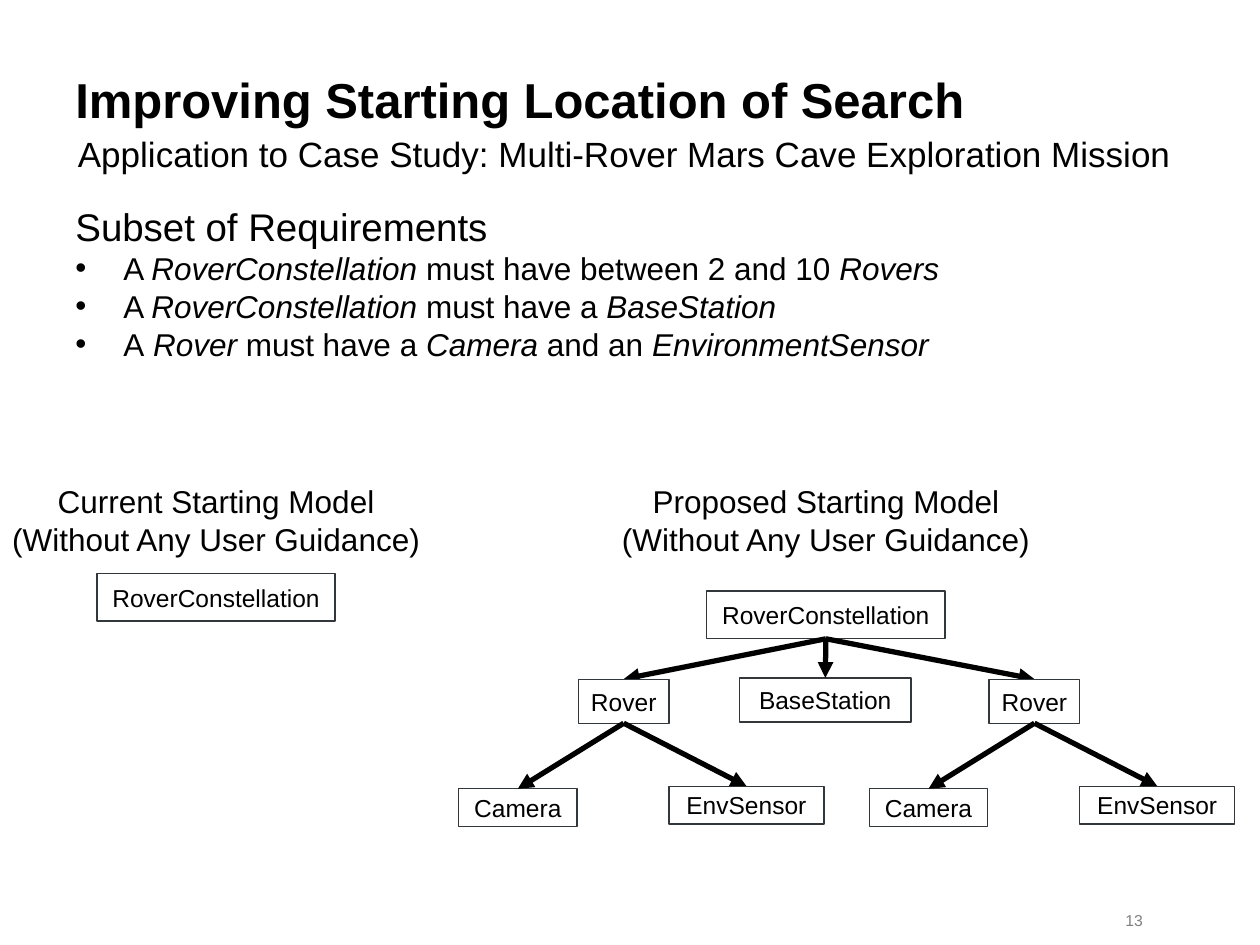
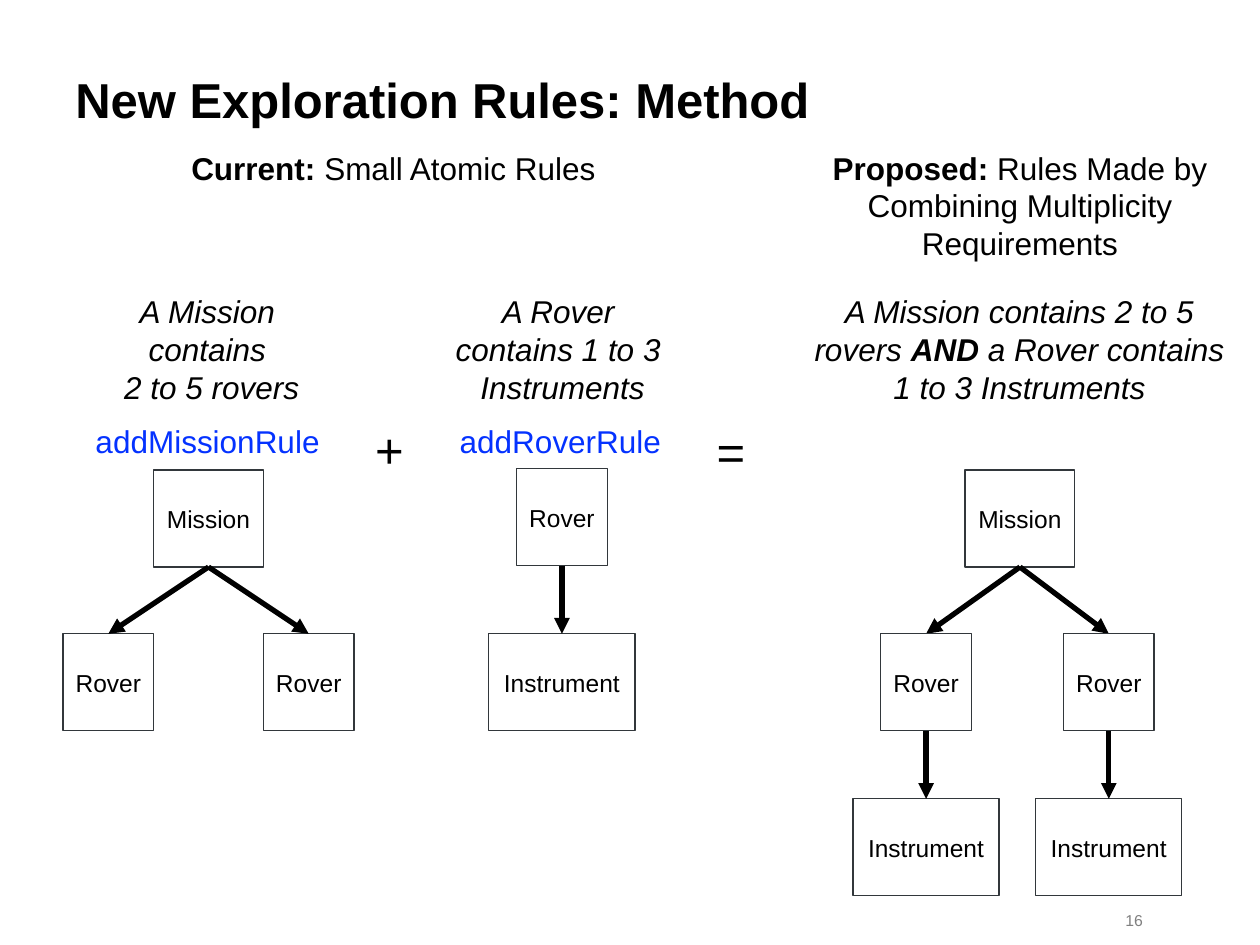
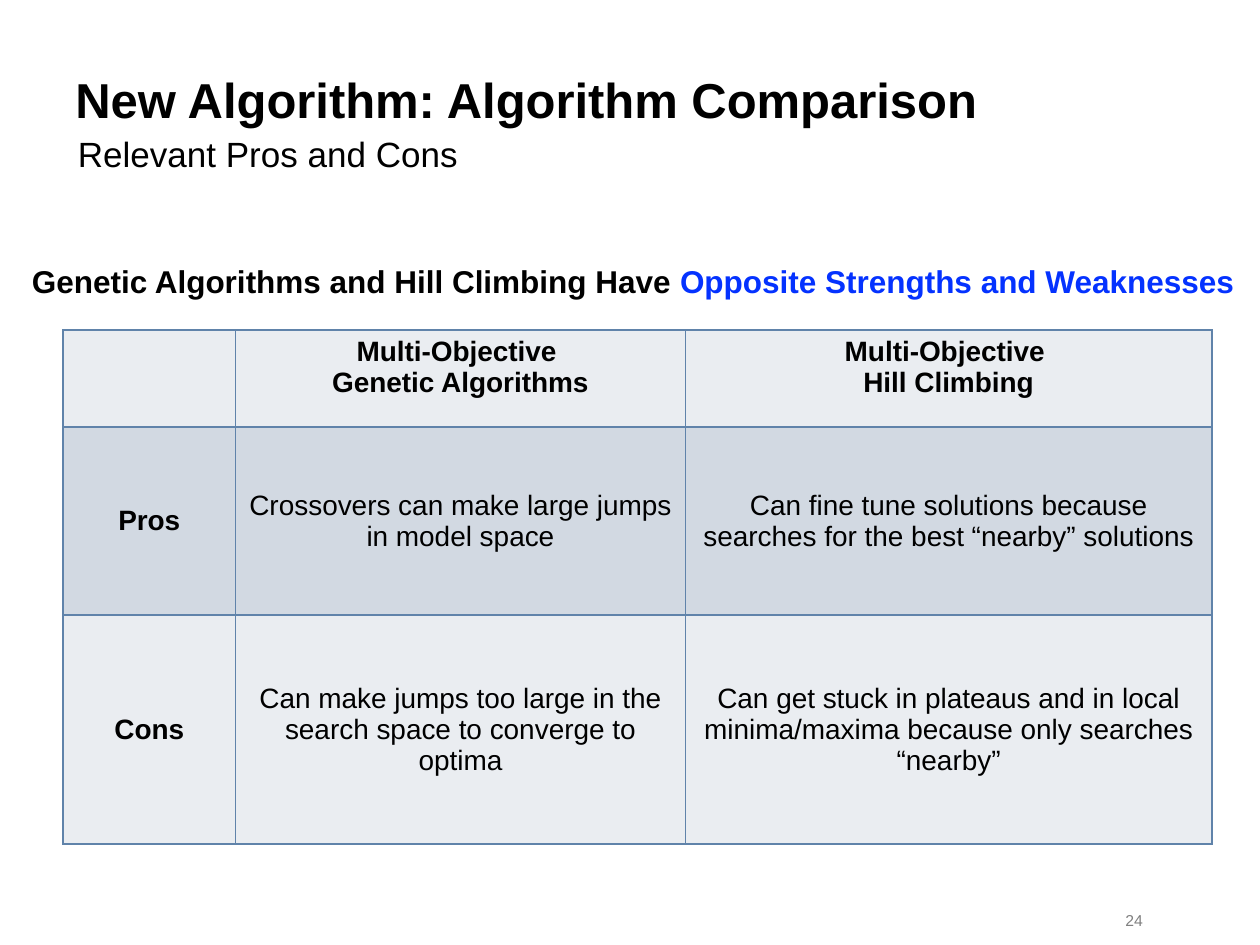
from dataclasses import dataclass

from lxml.etree import SubElement
from pptx import Presentation
from pptx.dml.color import RGBColor
from pptx.enum.shapes import MSO_CONNECTOR, MSO_SHAPE
from pptx.enum.text import MSO_ANCHOR, MSO_AUTO_SIZE, PP_ALIGN
from pptx.oxml.ns import qn
from pptx.util import Pt

PX = 9144  # EMU in one px: 100 px to the inch


@dataclass(frozen=True)
class Theme:
    font: str = "Arial"
    ink: str = "000000"
    paper: str = "FFFFFF"
    accent: str = "0432FF"
    muted: str = "808080"
    outline: str = "32373B"
    grid: str = "6083AA"
    row_light: str = "EAEDF1"
    row_dark: str = "D2D9E2"
    title: int = 28
    heading: int = 22
    subtitle: int = 20
    body: int = 18
    table: int = 16
    node: int = 14
    footer: int = 9


THEME = Theme()


@dataclass(frozen=True)
class Node:
    """A box in a tree; dx and dy are measured from its parent's corner."""
    text: str
    width: int
    height: int
    dx: int = 0
    dy: int = 0
    children: tuple = ()
    tucked: bool = False  # the incoming arrow lies behind the box


# ---- Text ----
def add_bullet(paragraph, indent):
    properties = paragraph._p.get_or_add_pPr()
    properties.set("marL", str(indent * PX))
    properties.set("indent", str(-indent * PX))
    SubElement(properties, qn("a:buFont"), typeface=THEME.font)
    SubElement(properties, qn("a:buChar"), char="•")


def write_paragraph(paragraph, runs, size=THEME.body, color=THEME.ink, bold=False,
                    italic=False, align=PP_ALIGN.LEFT, bullet=0):
    """Runs are one string, or a list of strings and (string, format) pairs."""
    paragraph.alignment = align
    if bullet:
        add_bullet(paragraph, bullet)
    for part in [runs] if isinstance(runs, str) else runs:
        text, own = (part, {}) if isinstance(part, str) else part
        run = paragraph.add_run()
        run.text = text
        font = run.font
        font.name, font.size = THEME.font, Pt(size)
        font.bold = own.get("bold", bold)
        font.italic = own.get("italic", italic)
        font.color.rgb = RGBColor.from_string(own.get("color", color))


def write(frame, paragraphs, **format):
    for index, runs in enumerate(paragraphs):
        paragraph = frame.add_paragraph() if index else frame.paragraphs[0]
        write_paragraph(paragraph, runs, **format)


def add_text(slide, box, *paragraphs, wrap=True, grow=True, anchor=MSO_ANCHOR.TOP, **format):
    shape = slide.shapes.add_textbox(*(length * PX for length in box))
    frame = shape.text_frame
    frame.word_wrap = wrap
    frame.auto_size = MSO_AUTO_SIZE.SHAPE_TO_FIT_TEXT if grow else MSO_AUTO_SIZE.NONE
    frame.vertical_anchor = anchor
    write(frame, paragraphs, **format)
    return frame


# ---- Trees ----
def add_node(slide, left, top, node):
    shape = slide.shapes.add_shape(MSO_SHAPE.RECTANGLE, left * PX, top * PX,
                                   node.width * PX, node.height * PX)
    shape.shadow.inherit = False
    shape.fill.solid()
    shape.fill.fore_color.rgb = RGBColor.from_string(THEME.paper)
    shape.line.color.rgb = RGBColor.from_string(THEME.outline)
    shape.line.width = Pt(0.75)
    frame = shape.text_frame
    frame.word_wrap = False
    frame.vertical_anchor = MSO_ANCHOR.MIDDLE
    write(frame, [node.text], size=THEME.node, align=PP_ALIGN.CENTER)
    return shape


def add_arrow(slide, parent, child, tucked):
    arrow = slide.shapes.add_connector(MSO_CONNECTOR.STRAIGHT, 0, 0, 0, 0)
    arrow.begin_connect(parent, 2)
    arrow.end_connect(child, 0)
    arrow.line.color.rgb = RGBColor.from_string(THEME.ink)
    arrow.line.width = Pt(3)
    SubElement(arrow.line._get_or_add_ln(), qn("a:tailEnd"), type="triangle")
    SubElement(arrow._element.spPr, qn("a:effectLst"))
    if tucked:
        child._element.addprevious(arrow._element)


def add_tree(slide, left, top, node):
    shape = add_node(slide, left, top, node)
    for child in node.children:
        child_shape = add_tree(slide, left + child.dx, top + child.dy, child)
        add_arrow(slide, shape, child_shape, child.tucked)
    return shape


# ---- Table ----
def add_cell_border(cell):
    properties = cell._tc.get_or_add_tcPr()
    for index, side in enumerate(("lnL", "lnR", "lnT", "lnB")):
        line = properties.makeelement(qn(f"a:{side}"), {"w": str(Pt(1))})
        fill = SubElement(line, qn("a:solidFill"))
        SubElement(fill, qn("a:srgbClr"), val=THEME.grid)
        properties.insert(index, line)


def add_comparison(slide, left, top, widths, heights, rows):
    table = slide.shapes.add_table(len(rows), len(widths), left * PX, top * PX,
                                   sum(widths) * PX, sum(heights) * PX).table
    table.first_row = table.horz_banding = False
    for column, width in zip(table.columns, widths):
        column.width = width * PX
    for row, height in zip(table.rows, heights):
        row.height = height * PX
    for row_index, row in enumerate(rows):
        for column_index, paragraphs in enumerate(row):
            cell = table.cell(row_index, column_index)
            cell.fill.solid()
            shade = THEME.row_dark if row_index % 2 else THEME.row_light
            cell.fill.fore_color.rgb = RGBColor.from_string(shade)
            cell.vertical_anchor = MSO_ANCHOR.MIDDLE if row_index else MSO_ANCHOR.TOP
            write(cell.text_frame, paragraphs, size=THEME.table, align=PP_ALIGN.CENTER,
                  bold=row_index == 0 or column_index == 0)
            add_cell_border(cell)


# ---- Shared slide parts ----
def start_slide(presentation, title, number, subtitle=None):
    slide = presentation.slides.add_slide(presentation.slide_layouts[6])
    add_text(slide, (50, 50, 900, 48), title, grow=False, size=THEME.title, bold=True)
    if subtitle:
        add_text(slide, (52, 100, 900, 36), subtitle, grow=False, size=THEME.subtitle)
    add_text(slide, (800, 710, 117, 40), str(number), grow=False, size=THEME.footer,
             color=THEME.muted, align=PP_ALIGN.RIGHT, anchor=MSO_ANCHOR.MIDDLE)
    return slide


# ---- Slide: starting location ----
def add_requirements(slide, box):
    def name(text):
        return text, {"italic": True}

    frame = add_text(slide, box, "Subset of Requirements", size=THEME.heading)
    for runs in (
        ["A ", name("RoverConstellation "), "must have between 2 and 10", name(" Rovers")],
        ["A ", name("RoverConstellation "), "must have a ", name("BaseStation")],
        ["A", name(" Rover"), " must have a ", name("Camera"), " and an ",
         name("EnvironmentSensor")],
    ):
        write_paragraph(frame.add_paragraph(), runs, bullet=38)


def add_model(slide, left, top, heading, tree, tree_top):
    caption_width = 347
    add_text(slide, (left, top, caption_width, 71), heading, "(Without Any User Guidance)",
             wrap=False, align=PP_ALIGN.CENTER)
    add_tree(slide, left + (caption_width - tree.width) // 2, top + tree_top, tree)


def build_starting_location(presentation):
    slide = start_slide(presentation, "Improving Starting Location of Search", 13,
                        "Application to Case Study: Multi-Rover Mars Cave Exploration Mission")
    add_requirements(slide, (50, 156, 902, 168))

    sensors = (Node("Camera", 94, 30, -95, 87), Node("EnvSensor", 123, 30, 72, 85))
    rovers = [Node("Rover", 72, 35, dx, 70, sensors, tucked=True) for dx in (-102, 224)]
    station = Node("BaseStation", 136, 35, 26, 69)
    current = Node("RoverConstellation", 189, 38)
    proposed = Node("RoverConstellation", 189, 38, children=(*rovers, station))
    add_model(slide, -2, 378, "Current Starting Model", current, 77)
    add_model(slide, 482, 378, "Proposed Starting Model", proposed, 91)


# ---- Slide: exploration rules ----
def build_exploration_rules(presentation):
    slide = start_slide(presentation, "New Exploration Rules: Method", 16)
    center = PP_ALIGN.CENTER
    bold = {"bold": True}

    # Headings
    add_text(slide, (142, 113, 344, 40), [("Current:", bold), " Small Atomic Rules"], wrap=False)
    add_text(slide, (611, 113, 397, 101),
             [("Proposed:", bold), " Rules Made by Combining Multiplicity Requirements"],
             align=center)

    # Rule statements
    statement = {"italic": True, "align": center}
    add_text(slide, (88, 227, 160, 101), "A Mission ", "contains ", "2 to 5 rovers",
             wrap=False, **statement)
    add_text(slide, (351, 227, 191, 101), "A Rover ", "contains 1 to 3 ", "Instruments",
             wrap=False, **statement)
    add_text(slide, (635, 227, 348, 101),
             ["A Mission contains 2 to 5 rovers ", ("AND", bold),
              " a Rover contains 1 to 3 Instruments"], **statement)

    # Rule names and operators
    for left, width, rule in ((66, 200, "addMissionRule"), (355, 181, "addRoverRule")):
        add_text(slide, (left, 330, width, 40), rule, wrap=False, color=THEME.accent)
    for left, top, operator in ((288, 328, "+"), (559, 330, "=")):
        add_text(slide, (left, top, 43, 57), operator, wrap=False, size=THEME.title)

    # Rule trees
    height = 77
    instrument = Node("Instrument", 116, height, -22, 131)

    def mission(offsets, **rover_options):
        rovers = (Node("Rover", 72, height, dx, 130, **rover_options) for dx in offsets)
        return Node("Mission", 87, height, children=tuple(rovers))

    add_tree(slide, 122, 373, mission((-72, 87)))
    add_tree(slide, 410, 372, Node("Rover", 72, height, children=(instrument,)))
    add_tree(slide, 766, 373, mission((-67, 78), children=(instrument,), tucked=True))


# ---- Slide: algorithm comparison ----
def build_algorithm_comparison(presentation):
    slide = start_slide(presentation, "New Algorithm: Algorithm Comparison", 24,
                        "Relevant Pros and Cons")
    add_text(slide, (11, 203, 990, 40),
             ["Genetic Algorithms and Hill Climbing Have ",
              ("Opposite Strengths and Weaknesses ", {"color": THEME.accent})],
             bold=True, align=PP_ALIGN.CENTER)
    add_comparison(slide, 50, 262, (137, 357, 418), (77, 149, 182), [
        [[], ["Multi-Objective ", "Genetic Algorithms"], ["Multi-Objective ", "Hill Climbing"]],
        [["Pros"],
         ["Crossovers can make large jumps in model space"],
         ["Can fine tune solutions because searches for the best “nearby” solutions"]],
        [["Cons"],
         ["Can make jumps too large in the search space to converge to optima"],
         ["Can get stuck in plateaus and in local minima/maxima because only searches “nearby”"]],
    ])


def main():
    presentation = Presentation()
    presentation.slide_width, presentation.slide_height = 1000 * PX, 750 * PX
    build_starting_location(presentation)
    build_exploration_rules(presentation)
    build_algorithm_comparison(presentation)
    presentation.save("out.pptx")


if __name__ == "__main__":
    main()
